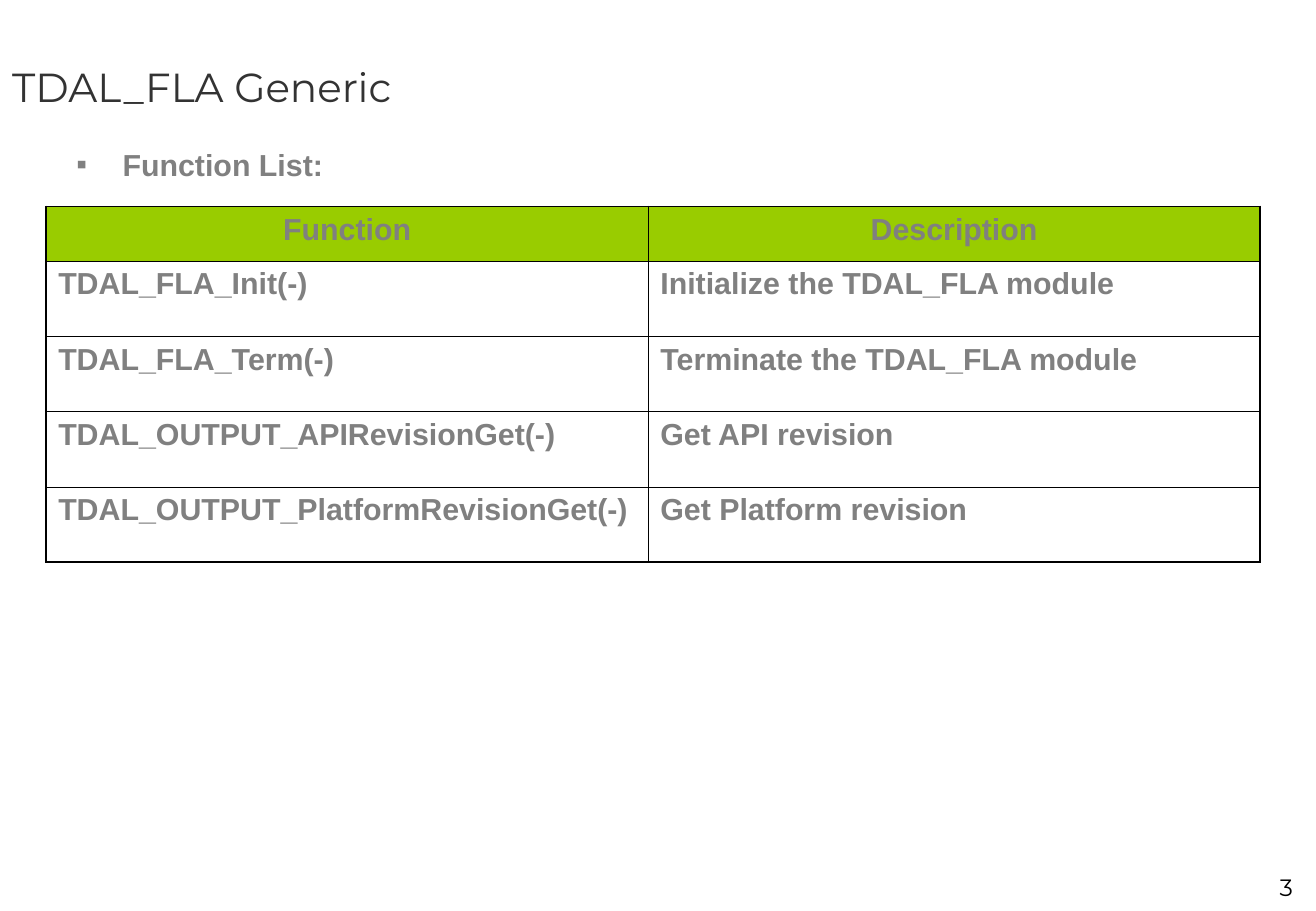
import dataclasses

import lxml.etree
import pptx
import pptx.dml.color
import pptx.enum.text
import pptx.oxml.ns
import pptx.util

ALIGN = pptx.enum.text.PP_ALIGN
ANCHOR = pptx.enum.text.MSO_ANCHOR
qn = pptx.oxml.ns.qn

# Slide size and layout grid, in inches
WIDTH, HEIGHT = 10.84, 7.5
COLUMNS, ROWS = 1084, 750

FUNCTIONS = [
    ("Function", "Description"),
    ("TDAL_FLA_Init(-)", "Initialize the TDAL_FLA module"),
    ("TDAL_FLA_Term(-)", "Terminate the TDAL_FLA module"),
    ("TDAL_OUTPUT_APIRevisionGet(-)", "Get API revision"),
    ("TDAL_OUTPUT_PlatformRevisionGet(-)", "Get Platform revision"),
]


@dataclasses.dataclass(frozen=True)
class Theme:
    heading_font: str = "Montserrat"
    body_font: str = "Arial"
    heading_color: str = "333333"
    body_color: str = "808080"
    number_color: str = "000000"
    border_color: str = "000000"
    header_fill: str = "99CC00"
    title_size: float = 24
    body_size: float = 18
    number_size: float = 14
    space_before: float = 4.5
    outer_line: float = 1.08
    inner_line: float = 0.45


THEME = Theme()
BODY_TEXT = {"font": THEME.body_font, "size": THEME.body_size,
             "color": THEME.body_color, "bold": True}


def across(columns):
    return pptx.util.Inches(WIDTH * columns / COLUMNS)


def down(rows):
    return pptx.util.Inches(HEIGHT * rows / ROWS)


def apply(target, formats):
    for attribute, value in formats.items():
        setattr(target, attribute, value)


def place(part, left, top, width, height):
    apply(part, {"left": across(left), "top": down(top),
                 "width": across(width), "height": down(height)})


def write(frame, text, font, size, color, bold=False, align=ALIGN.LEFT, before=0):
    apply(frame, {"word_wrap": True, "auto_size": pptx.enum.text.MSO_AUTO_SIZE.NONE})
    paragraph = frame.paragraphs[0]
    apply(paragraph, {"alignment": align, "space_before": pptx.util.Pt(before)})
    run = paragraph.add_run()
    run.text = text
    apply(run.font, {"name": font, "size": pptx.util.Pt(size), "bold": bold})
    run.font.color.rgb = pptx.dml.color.RGBColor.from_string(color)
    return paragraph


def add_solid_color(parent, tag, color):
    holder = lxml.etree.SubElement(parent, qn(tag))
    lxml.etree.SubElement(holder, qn("a:srgbClr"), val=color)


def add_bullet(paragraph, symbol, color, indent):
    properties = paragraph._p.get_or_add_pPr()
    properties.set("marL", str(indent))
    properties.set("indent", str(-indent))
    add_solid_color(properties, "a:buClr", color)
    lxml.etree.SubElement(properties, qn("a:buFont"), typeface=THEME.body_font)
    lxml.etree.SubElement(properties, qn("a:buChar"), char=symbol)


def add_borders(cell, outer_sides):
    properties = cell._tc.get_or_add_tcPr()
    for side in "LRTB":
        weight = THEME.outer_line if side in outer_sides else THEME.inner_line
        line = lxml.etree.SubElement(properties, qn("a:ln" + side),
                                     w=str(pptx.util.Pt(weight)))
        add_solid_color(line, "a:solidFill", THEME.border_color)


def add_title(slide, text):
    title = slide.shapes.title
    place(title, 0, 0, 1083, 142)
    title.text_frame.vertical_anchor = ANCHOR.MIDDLE
    write(title.text_frame, text, THEME.heading_font, THEME.title_size,
          THEME.heading_color)


def add_list_heading(slide, text):
    body = slide.placeholders[1]
    place(body, 53, 115, 991, 495)
    paragraph = write(body.text_frame, text, **BODY_TEXT, before=THEME.space_before)
    add_bullet(paragraph, "▪", THEME.body_color, across(38))


def add_function_table(slide, records):
    column_widths = (496, 504)
    row_heights = [45] + [62] * (len(records) - 1)
    table = slide.shapes.add_table(
        len(records), len(column_widths), across(38), down(170),
        across(sum(column_widths)), down(sum(row_heights))).table
    apply(table, {"first_row": False, "horz_banding": False})
    for column, width in zip(table.columns, column_widths):
        column.width = across(width)
    for row, height in zip(table.rows, row_heights):
        row.height = down(height)

    for r, record in enumerate(records):
        for c, text in enumerate(record):
            cell = table.cell(r, c)
            header = r == 0
            write(cell.text_frame, text, **BODY_TEXT, before=THEME.space_before,
                  align=ALIGN.CENTER if header else ALIGN.LEFT)
            # Heavier lines run only around the outside
            edges = {"L": c == 0, "R": c == len(record) - 1,
                     "T": header, "B": r == len(records) - 1}
            add_borders(cell, [side for side, outer in edges.items() if outer])
            if header:
                cell.fill.solid()
                cell.fill.fore_color.rgb = pptx.dml.color.RGBColor.from_string(
                    THEME.header_fill)
            else:
                cell.fill.background()


def add_page_number(slide, number):
    page_number = slide.shapes.add_textbox(
        across(959), down(714), across(116), down(33))
    write(page_number.text_frame, number, THEME.heading_font, THEME.number_size,
          THEME.number_color, align=ALIGN.RIGHT)


def main():
    deck = pptx.Presentation()
    apply(deck, {"slide_width": across(COLUMNS), "slide_height": down(ROWS)})
    slide = deck.slides.add_slide(deck.slide_layouts[1])
    add_title(slide, "TDAL_FLA Generic")
    add_list_heading(slide, "Function List:")
    add_function_table(slide, FUNCTIONS)
    add_page_number(slide, "3")
    deck.save("out.pptx")


if __name__ == "__main__":
    main()
